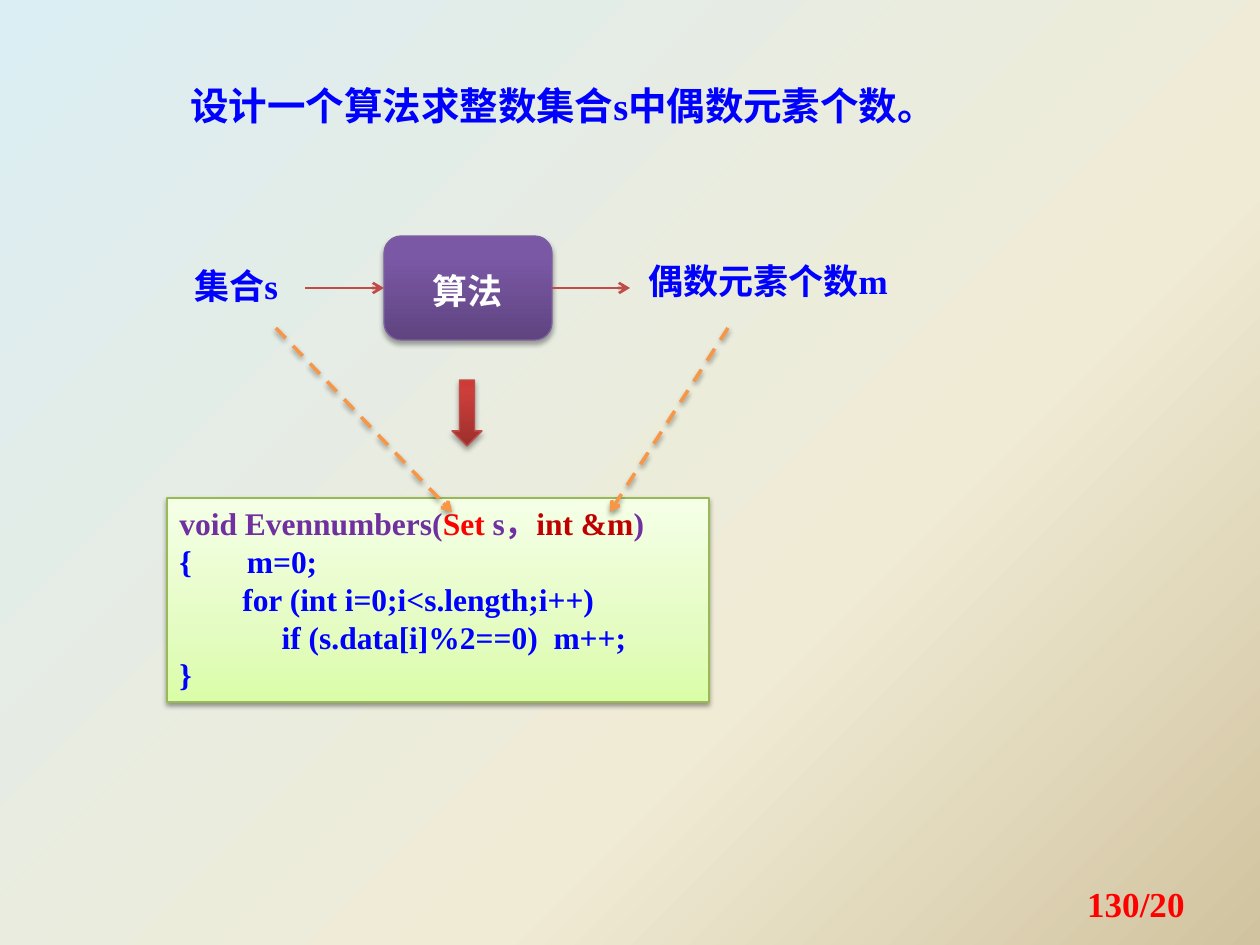
"""Build the slide about an algorithm that counts the even numbers in a set."""
from lxml.etree import SubElement
from pptx import Presentation
from pptx.dml.color import RGBColor
from pptx.enum.dml import MSO_LINE_DASH_STYLE as Dash
from pptx.enum.shapes import MSO_CONNECTOR, MSO_SHAPE as Shape
from pptx.enum.text import MSO_ANCHOR as Anchor, PP_ALIGN as Align
from pptx.oxml.ns import qn
from pptx.util import Emu, Pt

PX = 914400 / 126
SERIF, SANS = "Times New Roman", "Noto Sans CJK SC"
BLUE, RED, PURPLE, DARK_RED = "0000FF", "FF0000", "7030A0", "C00000"
ORANGE, BRICK = "F79646", "BF4C48"
SIGNATURE = [("void Evennumbers(", PURPLE), ("Set", RED), (" s，", PURPLE),
             ("int &m", DARK_RED), (")", PURPLE)]
BODY = ["{       m=0;",
        "        for (int i=0;i<s.length;i++)",
        "             if (s.data[i]%2==0)  m++;",
        "}"]


def px(*lengths):
    return [Emu(round(length * PX)) for length in lengths]


def color(value):
    return RGBColor.from_string(value)


def set_gradient(parent, stops, angle):
    """Replace the solid fill in parent by a linear gradient."""
    solid = parent.find(qn("a:solidFill"))
    gradient = parent.makeelement(qn("a:gradFill"), {"rotWithShape": "1"})
    stop_list = SubElement(gradient, qn("a:gsLst"))
    for position, value in stops:
        stop = SubElement(stop_list, qn("a:gs"), pos=str(position * 1000))
        SubElement(stop, qn("a:srgbClr"), val=value)
    SubElement(gradient, qn("a:lin"), ang=str(angle * 60000), scaled="0")
    parent.replace(solid, gradient)


def add_shadow(effects, distance, alpha):
    shadow = SubElement(effects, qn("a:outerShdw"), blurRad=str(Pt(3.1)),
                        dist=str(Pt(distance)), dir="5400000", rotWithShape="0")
    black = SubElement(shadow, qn("a:srgbClr"), val="000000")
    SubElement(black, qn("a:alpha"), val=str(alpha * 1000))


def style_paragraph(para, size, value, face=SERIF, align=Align.LEFT, spacing=None):
    para.alignment = align
    para.line_spacing = spacing
    font = para.font
    font.name, font.size, font.bold = face, Pt(size), True
    font.color.rgb = color(value)


def add_title(page, text, *bounds):
    title = page.shapes.title
    title.left, title.top, title.width, title.height = px(*bounds)
    title.text_frame.text = text
    title.text_frame.vertical_anchor = Anchor.TOP
    style_paragraph(title.text_frame.paragraphs[0], 22, BLUE, spacing=Pt(32))


def add_label(page, text, bounds, value=BLUE, align=Align.CENTER, anchor=Anchor.TOP):
    frame = page.shapes.add_textbox(*px(*bounds)).text_frame
    frame.word_wrap = True
    frame.vertical_anchor = anchor
    frame.text = text
    style_paragraph(frame.paragraphs[0], 20, value, align=align, spacing=1.1)


def add_block(page, kind, bounds, stops, outline, distance=1.8, alpha=35):
    """Add a shape with a vertical gradient, a thin outline and a soft shadow."""
    block = page.shapes.add_shape(kind, *px(*bounds))
    block.fill.solid()
    block.line.color.rgb = color(outline)
    block.line.width = Pt(0.75)
    block.shadow.inherit = False
    properties = block._element.spPr
    set_gradient(properties, stops, 270)
    add_shadow(properties.find(qn("a:effectLst")), distance, alpha)
    return block


def add_arrow(page, start, end, value, width, dashed=False):
    """Add a straight arrow; a dashed one also casts a shadow."""
    arrow = page.shapes.add_connector(MSO_CONNECTOR.STRAIGHT, *px(*start, *end))
    arrow.line.color.rgb = color(value)
    arrow.line.width = Pt(width)
    if dashed:
        arrow.line.dash_style = Dash.DASH
    properties = arrow._element.spPr
    SubElement(properties.find(qn("a:ln")), qn("a:tailEnd"), type="arrow")
    effects = SubElement(properties, qn("a:effectLst"))
    if dashed:
        add_shadow(effects, 1.6, 38)
    return arrow


def add_code(page):
    box = add_block(page, Shape.RECTANGLE, (167, 498, 542, 204),
                    [(0, "DAFDA7"), (35, "E4FCC2"), (100, "F5FFE7")],
                    "98B955", 1.6, 38)
    frame = box.text_frame
    frame.word_wrap = True
    frame.vertical_anchor = Anchor.TOP
    lines = [SIGNATURE] + [[(line, BLUE)] for line in BODY]
    for index, spans in enumerate(lines):
        para = frame.add_paragraph() if index else frame.paragraphs[0]
        style_paragraph(para, 18, spans[0][1])
        for text, value in spans:
            span = para.add_run()
            span.text = text
            span.font.color.rgb = color(value)


def add_flow(page):
    box = add_block(page, Shape.ROUNDED_RECTANGLE, (384, 236, 168, 104),
                    [(0, "5F4480"), (80, "7B58A6"), (100, "7C57A8")], "7D60A0")
    box.text_frame.text = "算法"
    box.text_frame.vertical_anchor = Anchor.MIDDLE
    style_paragraph(box.text_frame.paragraphs[0], 20, "FFFFFF", SANS,
                    Align.CENTER, 1.1)
    add_arrow(page, (305, 288), (384, 288), BRICK, 1.5).end_connect(box, 1)
    add_arrow(page, (552, 288), (630, 288), BRICK, 1.5).begin_connect(box, 3)
    add_label(page, "集合s", (157, 254, 158, 60))
    add_label(page, "偶数元素个数m", (630, 249, 276, 60))
    add_block(page, Shape.DOWN_ARROW, (452, 380, 30, 66),
              [(0, "9C2F2D"), (80, "CB3E3A"), (100, "CE3B37")], BRICK)


def main():
    deck = Presentation()
    deck.slide_width, deck.slide_height = px(1260, 945)
    page = deck.slides.add_slide(deck.slide_layouts[5])
    page.background.fill.solid()
    set_gradient(page._element.find(".//" + qn("p:bgPr")),
                 [(0, "DBEEF4"), (65, "F0EBD5"), (100, "D1C39F")], 45)
    add_title(page, "设计一个算法求整数集合s中偶数元素个数。", 178, 66, 777, 64)
    add_flow(page)
    add_code(page)
    add_arrow(page, (276, 328), (452, 512), ORANGE, 2, dashed=True)
    add_arrow(page, (728, 328), (610, 512), ORANGE, 2, dashed=True)
    add_label(page, "130/20", (903, 876, 294, 50), RED, Align.RIGHT, Anchor.MIDDLE)
    deck.save("out.pptx")


if __name__ == "__main__":
    main()
